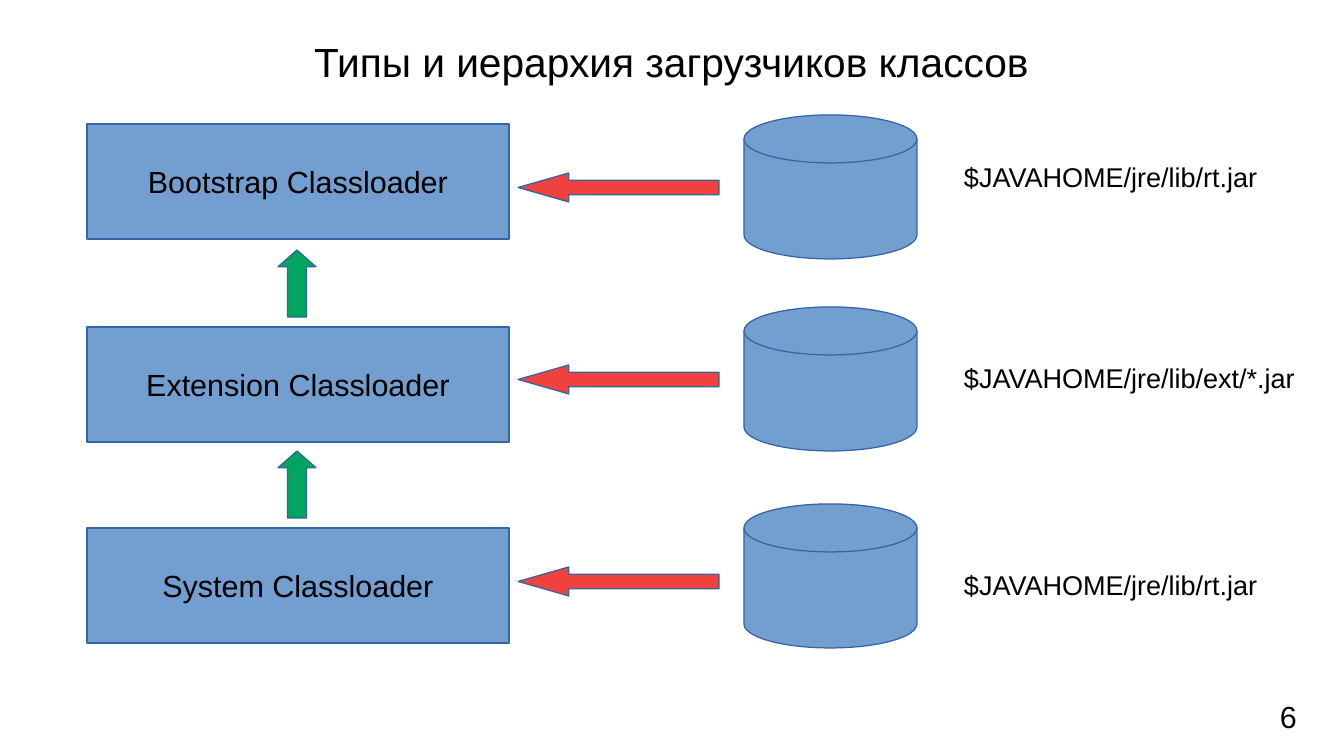
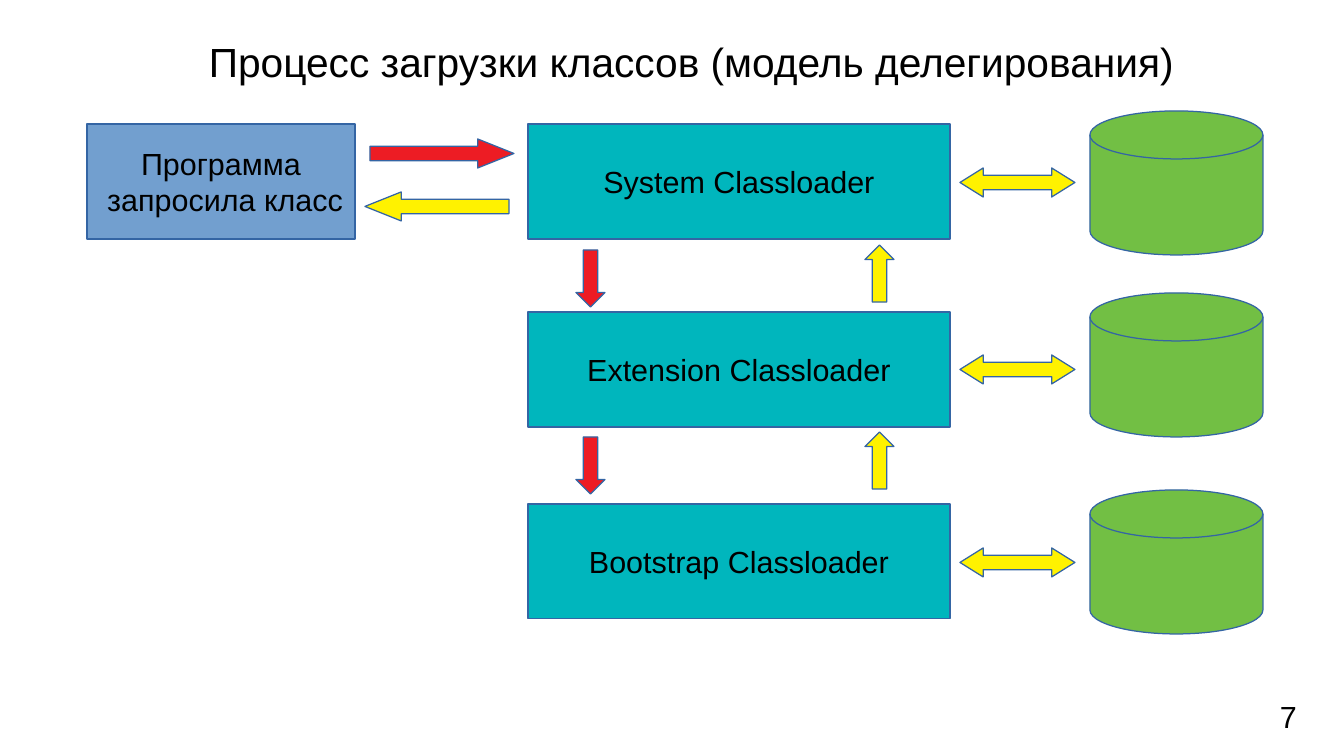
from dataclasses import dataclass

from pptx import Presentation
from pptx.dml.color import RGBColor as Rgb
from pptx.enum.shapes import MSO_SHAPE as Kind
from pptx.enum.text import MSO_ANCHOR as Anchor
from pptx.enum.text import MSO_AUTO_SIZE as Fit
from pptx.enum.text import PP_ALIGN as Align
from pptx.util import Emu, Pt

INCH = 122
FONT = "Arial"
HUES = {
    "ink": "000000",
    "edge": "3465A4",
    "blue": "729FCF",
    "teal": "00B6BD",
    "leaf": "72BF44",
    "green": "00A65D",
    "coral": "EF413D",
    "red": "ED1C24",
    "yellow": "FFF200",
}


@dataclass(frozen=True)
class Stack:
    kind: Kind
    left: int
    tops: tuple[int, ...]
    size: tuple[int, int]
    hue: str
    head: float | None = None
    words: tuple[str, ...] = ()


@dataclass(frozen=True)
class Note:
    text: str
    left: int
    top: int
    width: int
    height: int
    points: int
    align: Align = Align.LEFT


@dataclass(frozen=True)
class Page:
    title: str
    left: int
    width: int
    number: int
    stacks: tuple[Stack, ...]
    notes: tuple[Note, ...] = ()


def px(count: int) -> Emu:
    return Emu(round(count * 914400 / INCH))


def tint(name: str) -> Rgb:
    return Rgb.from_string(HUES[name])


def write(frame, text: str, points: int, align: Align) -> None:
    para = frame.paragraphs[0]
    para.alignment = align
    for row, line in enumerate(text.split("\n")):
        if row:
            para.add_line_break()
        run = para.add_run()
        run.text = line
        run.font.name = FONT
        run.font.size = Pt(points)
        run.font.color.rgb = tint("ink")


def draw_stack(slide, stack: Stack) -> None:
    width, height = map(px, stack.size)
    for row, top in enumerate(stack.tops):
        shape = slide.shapes.add_shape(stack.kind, px(stack.left), px(top), width, height)
        shape.shadow.inherit = False
        shape.fill.solid()
        shape.fill.fore_color.rgb = tint(stack.hue)
        shape.line.color.rgb = tint("edge")
        shape.line.width = Pt(0)
        if stack.head is not None:
            shape.adjustments[0] = 0.5
            shape.adjustments[1] = stack.head
        if stack.words:
            frame = shape.text_frame
            frame.word_wrap = False
            frame.vertical_anchor = Anchor.MIDDLE
            write(frame, stack.words[row], 18, Align.CENTER)


def draw_note(slide, note: Note) -> None:
    place = map(px, (note.left, note.top, note.width, note.height))
    frame = slide.shapes.add_textbox(*place).text_frame
    frame.word_wrap = True
    frame.auto_size = Fit.SHAPE_TO_FIT_TEXT
    write(frame, note.text, note.points, note.align)


def draw_page(deck, page: Page) -> None:
    slide = deck.slides.add_slide(deck.slide_layouts[6])
    draw_note(slide, Note(page.title, page.left, 31, page.width, 102, 24, Align.CENTER))
    for stack in page.stacks:
        draw_stack(slide, stack)
    for note in page.notes:
        draw_note(slide, note)
    draw_note(slide, Note(str(page.number), 1268, 692, 67, 46, 18))


BOX = (422, 115)
DISK = (173, 144)
BOOT, EXT, SYS = (f"{name} Classloader" for name in ("Bootstrap", "Extension", "System"))
JARS = (("rt.jar", 154), ("ext/*.jar", 355), ("rt.jar", 562))

TYPES = Page(
    "Типы и иерархия загрузчиков классов", 23, 1297, 6,
    (
        Stack(Kind.RECTANGLE, 87, (124, 327, 528), BOX, "blue", words=(BOOT, EXT, SYS)),
        Stack(Kind.UP_ARROW, 278, (250, 451), (38, 67), "green", 0.44),
        Stack(Kind.FLOWCHART_MAGNETIC_DISK, 744, (115, 307, 504), DISK, "blue"),
        Stack(Kind.LEFT_ARROW, 518, (173, 365, 567), (201, 29), "coral", 1.75),
    ),
    tuple(Note(f"$JAVAHOME/jre/lib/{jar}", 952, top, 375, 43, 16) for jar, top in JARS),
)

LOADING = Page(
    "Процесс загрузки классов (модель делегирования)", 67, 1249, 7,
    (
        Stack(Kind.RECTANGLE, 87, (124,), (268, 115), "blue",
              words=("Программа\n запросила класс",)),
        Stack(Kind.RIGHT_ARROW, 370, (139,), (144, 29), "red", 1.25),
        Stack(Kind.RECTANGLE, 528, (124, 312, 504), BOX, "teal", words=(SYS, EXT, BOOT)),
        Stack(Kind.DOWN_ARROW, 576, (250, 437), (29, 57), "red", 0.5),
        Stack(Kind.FLOWCHART_MAGNETIC_DISK, 1090, (111, 293, 490), DISK, "leaf"),
        Stack(Kind.LEFT_RIGHT_ARROW, 960, (168, 355, 548), (115, 29), "yellow", 0.8),
        Stack(Kind.UP_ARROW, 865, (245, 432), (29, 57), "yellow", 0.5),
        Stack(Kind.LEFT_ARROW, 365, (192,), (144, 29), "yellow", 1.25),
    ),
)


def main() -> None:
    deck = Presentation()
    deck.slide_width, deck.slide_height = px(1344), px(756)
    for page in (TYPES, LOADING):
        draw_page(deck, page)
    deck.save("out.pptx")


if __name__ == "__main__":
    main()
